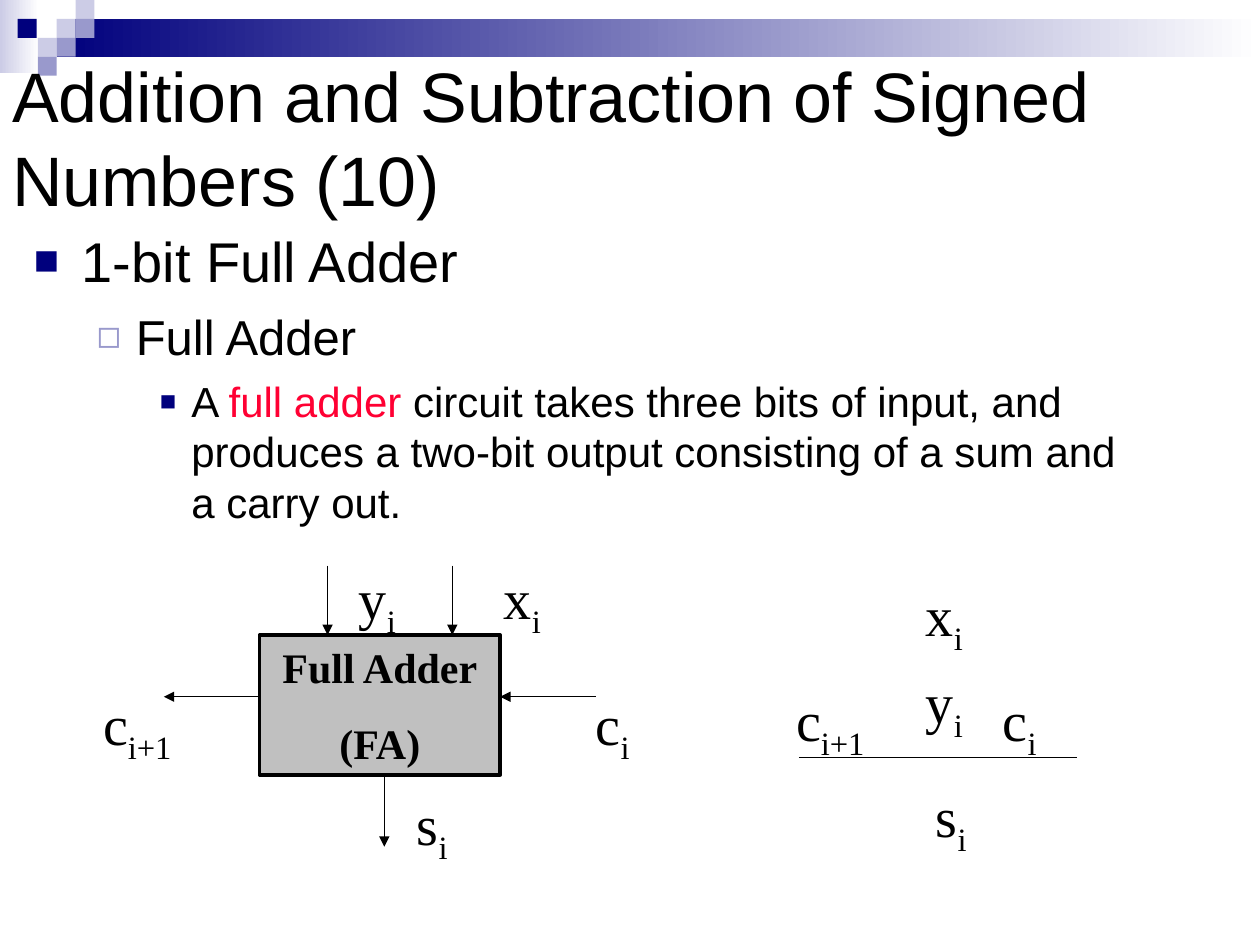
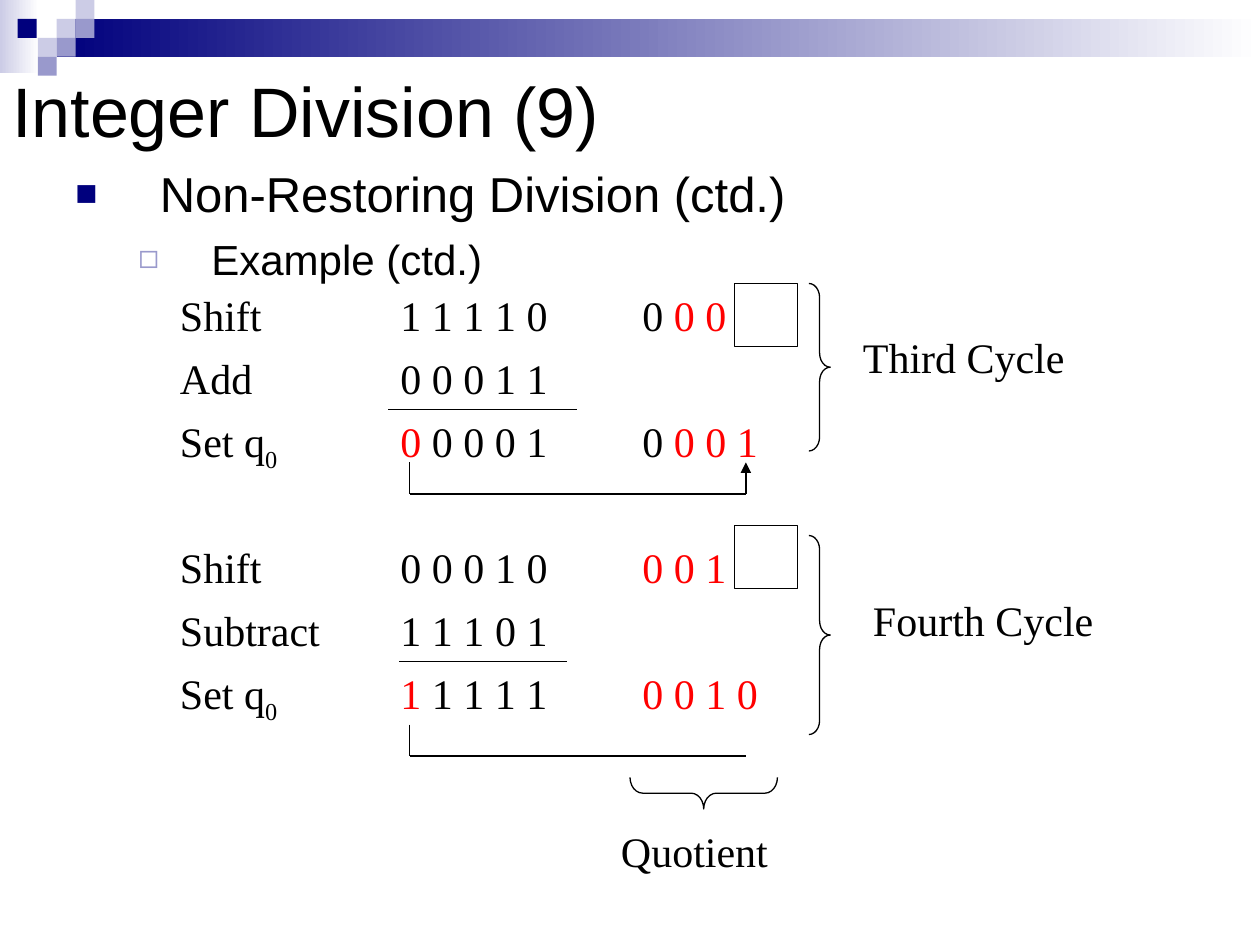
from dataclasses import dataclass

from lxml.etree import SubElement
from pptx import Presentation
from pptx.dml.color import RGBColor
from pptx.enum.shapes import MSO_CONNECTOR, MSO_SHAPE
from pptx.enum.text import MSO_ANCHOR, PP_ALIGN
from pptx.oxml.ns import qn
from pptx.util import Inches, Pt


@dataclass(frozen=True)
class Theme:
    navy: str = "00007D"
    lavender: str = "9999CC"
    pale: str = "CCCCE6"
    white: str = "FFFFFF"
    black: str = "000000"
    gray: str = "C0C0C0"
    red: str = "FF0000"
    crimson: str = "FF0033"
    sans: str = "Arial"
    serif: str = "Times New Roman"
    title_size: int = 40
    symbol_size: int = 32
    diagram_size: int = 24
    thin: float = 0.75
    thick: float = 2


THEME = Theme()


@dataclass(frozen=True)
class Run:
    text: str
    color: str = THEME.black
    subscript: bool = False


@dataclass(frozen=True)
class BulletItem:
    level: int
    size: int
    margin: float
    hanging: float
    space_before: int
    runs: tuple


# Bullet character, colour and size in percent, by level
BULLETS = (
    ("■", THEME.navy, 75),
    ("◻", THEME.lavender, 80),
    ("■", THEME.navy, 65),
)


def rgb(color):
    return RGBColor.from_string(color)


# Text
def add_runs(paragraph, runs, size, font_name, bold=False):
    for part in runs:
        run = paragraph.add_run()
        run.text = part.text
        run.font.size = Pt(size)
        run.font.name = font_name
        run.font.bold = bold
        run.font.color.rgb = rgb(part.color)
        if part.subscript:
            run._r.get_or_add_rPr().set("baseline", "-25000")


def add_text_box(slide, left, top, width, height):
    box = slide.shapes.add_textbox(
        Inches(left), Inches(top), Inches(width), Inches(height))
    box.text_frame.word_wrap = True
    return box.text_frame


def add_title(slide, text, height):
    frame = add_text_box(slide, 0, 0.33, 10, height)
    frame.vertical_anchor = MSO_ANCHOR.MIDDLE
    add_runs(frame.paragraphs[0], [Run(text)], THEME.title_size, THEME.sans)


def add_label(slide, left, top, width, runs, size=THEME.diagram_size):
    frame = add_text_box(slide, left, top, width, 0.5)
    add_runs(frame.paragraphs[0], runs, size, THEME.serif)


def add_symbol(slide, left, top, name, index="i"):
    width = 0.53 if index == "i" else 1
    runs = [Run(name), Run(index, subscript=True)]
    add_label(slide, left, top, width, runs, THEME.symbol_size)


def set_bullet(paragraph, item):
    character, color, percent = BULLETS[item.level]
    properties = paragraph._p.get_or_add_pPr()
    properties.set("marL", str(Inches(item.margin)))
    properties.set("indent", str(-Inches(item.hanging)))
    bullet_color = SubElement(properties, qn("a:buClr"))
    SubElement(bullet_color, qn("a:srgbClr"), val=color)
    SubElement(properties, qn("a:buSzPct"), val=str(percent * 1000))
    SubElement(properties, qn("a:buFont"), typeface=THEME.sans)
    SubElement(properties, qn("a:buChar"), char=character)


def add_bullets(slide, left, top, width, height, items):
    frame = add_text_box(slide, left, top, width, height)
    for number, item in enumerate(items):
        paragraph = frame.add_paragraph() if number else frame.paragraphs[0]
        paragraph.level = item.level
        set_bullet(paragraph, item)
        if number:
            paragraph.space_before = Pt(item.space_before)
        add_runs(paragraph, item.runs, item.size, THEME.sans)


# Shapes and lines
def add_preset(slide, preset, left, top, width, height, fill=None, line=None,
               line_width=THEME.thin):
    shape = slide.shapes.add_shape(
        preset, Inches(left), Inches(top), Inches(width), Inches(height))
    shape.shadow.inherit = False
    if fill:
        shape.fill.solid()
        shape.fill.fore_color.rgb = rgb(fill)
    else:
        shape.fill.background()
    if line:
        shape.line.color.rgb = rgb(line)
        shape.line.width = Pt(line_width)
    else:
        shape.line.fill.background()
    return shape


def add_gradient_band(slide, left, top, width, height, start):
    band = add_preset(slide, MSO_SHAPE.RECTANGLE, left, top, width, height)
    band.fill.gradient()
    band.fill.gradient_angle = 0
    for stop, color in zip(band.fill.gradient_stops, (start, THEME.white)):
        stop.color.rgb = rgb(color)


def add_brace(slide, left, top, width, height, curve, rotation=0):
    brace = add_preset(slide, MSO_SHAPE.RIGHT_BRACE, left, top, width, height,
                       line=THEME.black)
    brace.adjustments[0] = curve
    brace.rotation = rotation


def add_line(slide, start, end, arrow=False):
    connector = slide.shapes.add_connector(
        MSO_CONNECTOR.STRAIGHT, *(Inches(value) for value in (*start, *end)))
    connector.line.color.rgb = rgb(THEME.black)
    connector.line.width = Pt(THEME.thin)
    if arrow:
        SubElement(connector.line._get_or_add_ln(), qn("a:tailEnd"), type="triangle")
    SubElement(connector._element.spPr, qn("a:effectLst"))


# Shared header: two gradient bands and a mosaic of small squares
def add_header(slide):
    add_gradient_band(slide, 0, 0, 0.31, 0.58, THEME.pale)
    add_gradient_band(slide, 0.45, 0.15, 9.55, 0.3, THEME.navy)
    squares = (
        (0.45, 0.15, THEME.pale), (0.6, 0, THEME.pale),
        (0.6, 0.15, THEME.lavender), (0.3, 0.3, THEME.pale),
        (0.14, 0.15, THEME.navy), (0.45, 0.3, THEME.lavender),
        (0.3, 0.45, THEME.lavender),
    )
    for left, top, color in squares:
        add_preset(slide, MSO_SHAPE.RECTANGLE, left, top, 0.15, 0.15, fill=color)


def add_content_slide(presentation, title, title_height):
    slide = presentation.slides.add_slide(presentation.slide_layouts[6])
    add_header(slide)
    add_title(slide, title, title_height)
    return slide


# Full adder slide
def add_adder_block(slide):
    block = add_preset(slide, MSO_SHAPE.RECTANGLE, 2.06, 5.04, 1.91, 1.11,
                       fill=THEME.gray, line=THEME.black, line_width=THEME.thick)
    frame = block.text_frame
    frame.word_wrap = True
    frame.vertical_anchor = MSO_ANCHOR.TOP
    for number, text in enumerate(("Full Adder", "(FA)")):
        paragraph = frame.add_paragraph() if number else frame.paragraphs[0]
        paragraph.alignment = PP_ALIGN.CENTER
        if number:
            paragraph.space_before = Pt(15)
        add_runs(paragraph, [Run(text)], THEME.diagram_size, THEME.serif, bold=True)


def build_full_adder(presentation):
    slide = add_content_slide(
        presentation, "Addition and Subtraction of Signed Numbers (10)", 1.5)
    definition = (
        Run("A "), Run("full adder", THEME.crimson),
        Run(" circuit takes three bits of input, and produces a two-bit output "
            "consisting of a sum and a carry out."),
    )
    add_bullets(slide, 0.17, 1.75, 9, 5, (
        BulletItem(0, 32, 0.38, 0.38, 8, (Run("1-bit Full Adder"),)),
        BulletItem(1, 28, 0.81, 0.31, 7, (Run("Full Adder"),)),
        BulletItem(2, 24, 1.25, 0.25, 6, definition),
    ))

    # Block with its inputs and outputs
    add_adder_block(slide)
    for start, end in (
        ((2.6, 4.49), (2.6, 5.04)), ((3.59, 4.49), (3.59, 5.04)),
        ((3.05, 6.17), (3.05, 6.72)),
        ((2.06, 5.53), (1.3, 5.53)), ((4.73, 5.53), (3.97, 5.53)),
    ):
        add_line(slide, start, end, arrow=True)
    add_symbol(slide, 3.9, 4.42, "x")
    add_symbol(slide, 2.75, 4.42, "y")
    add_symbol(slide, 4.63, 5.42, "c")
    add_symbol(slide, 3.21, 6.22, "s")
    add_symbol(slide, 0.72, 5.42, "c", "i+1")

    # Column addition
    add_symbol(slide, 7.25, 4.56, "x")
    add_symbol(slide, 7.25, 5.25, "y")
    add_symbol(slide, 7.86, 5.39, "c")
    add_symbol(slide, 6.22, 5.39, "c", "i+1")
    add_line(slide, (6.34, 6.01), (8.55, 6.01))
    add_symbol(slide, 7.33, 6.15, "s")


# Division slide
def add_cycle(slide, top, rows, name, name_left, name_top, rule, box_top,
              brace_height):
    columns = ((1.33, 1.42), (3.08, 1.42), (5, 1.33))
    for number, row in enumerate(rows):
        for (left, width), runs in zip(columns, row):
            if runs:
                add_label(slide, left, top + 0.5 * number, width, runs)
    add_label(slide, name_left, name_top, 2.08, [Run(name)])
    add_line(slide, (rule[0], top + 1), (rule[1], top + 1))
    add_preset(slide, MSO_SHAPE.RECTANGLE, 5.83, box_top, 0.5, 0.5, line=THEME.black)
    add_brace(slide, 6.42, top, 0.17, brace_height, 0.66)


def add_sign_trace(slide, top, returns):
    left, right, bottom = 3.25, 5.92, top + 0.25
    add_line(slide, (left, top), (left, bottom))
    add_line(slide, (left, bottom), (right, bottom))
    if returns:
        add_line(slide, (right, bottom), (right, top), arrow=True)


def build_division(presentation):
    slide = add_content_slide(presentation, "Integer Division (9)", 1.08)
    add_bullets(slide, 0.5, 1.25, 8.83, 6, (
        BulletItem(0, 28, 0.67, 0.67, 7, (Run("Non-Restoring Division (ctd.)"),)),
        BulletItem(1, 24, 1.08, 0.58, 6, (Run("Example (ctd.)"),)),
    ))
    red = THEME.red
    set_quotient = [Run("Set q"), Run("0", subscript=True)]

    third_rows = (
        ([Run("Shift")], [Run("1 1 1 1 0")], [Run("0 "), Run("0 0", red)]),
        ([Run("Add")], [Run("0 0 0 1 1")], None),
        (set_quotient, [Run("0", red), Run(" 0 0 0 1")],
         [Run("0 "), Run("0 0 1", red)]),
    )
    add_cycle(slide, 2.25, third_rows, "Third Cycle", 6.75, 2.58,
              rule=(3.08, 4.58), box_top=2.25, brace_height=1.33)
    add_sign_trace(slide, 3.67, returns=True)

    fourth_rows = (
        ([Run("Shift")], [Run("0 0 0 1 0")], [Run("0 0 1", red)]),
        ([Run("Subtract")], [Run("1 1 1 0 1")], None),
        (set_quotient, [Run("1", red), Run(" 1 1 1 1")], [Run("0 0 1 0", red)]),
    )
    add_cycle(slide, 4.25, fourth_rows, "Fourth Cycle", 6.83, 4.67,
              rule=(3.17, 4.5), box_top=4.17, brace_height=1.58)
    add_sign_trace(slide, 5.75, returns=False)

    # Result
    add_brace(slide, 5.46, 5.71, 0.25, 1.17, 0.4, rotation=90)
    add_label(slide, 4.83, 6.5, 2.08, [Run("Quotient")])


def main():
    presentation = Presentation()
    presentation.slide_width = Inches(10)
    presentation.slide_height = Inches(7.5)
    build_full_adder(presentation)
    build_division(presentation)
    presentation.save("out.pptx")


if __name__ == "__main__":
    main()
